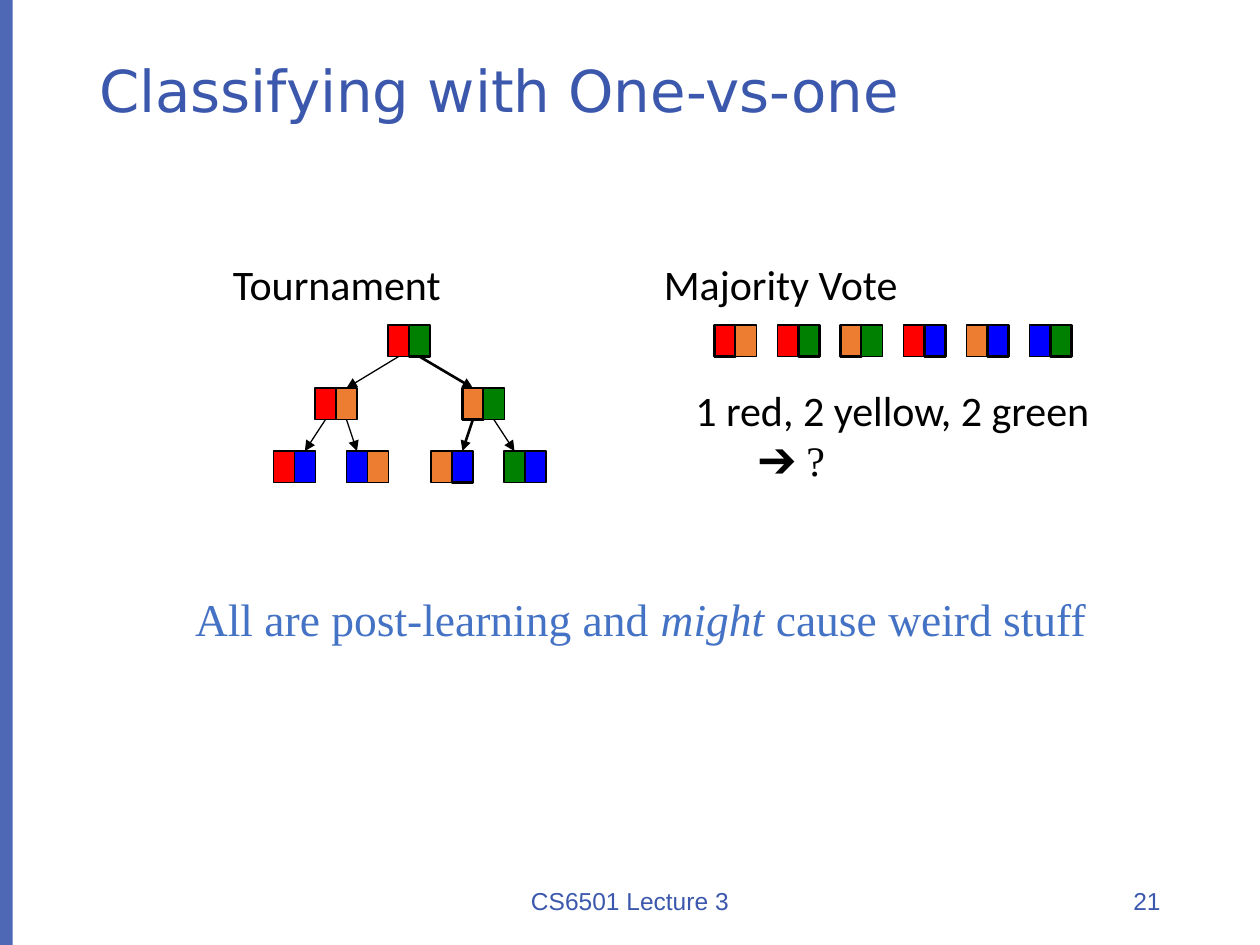
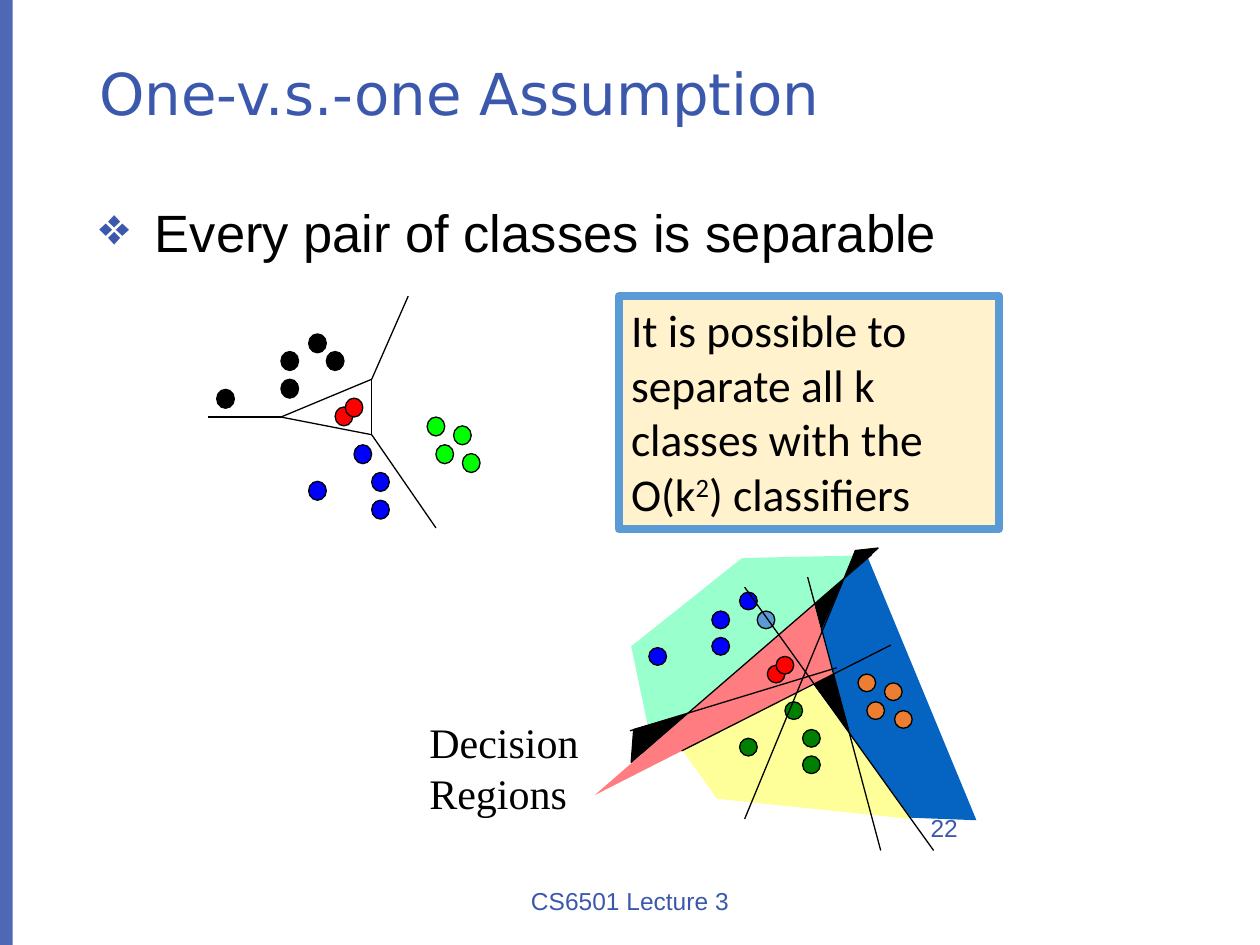
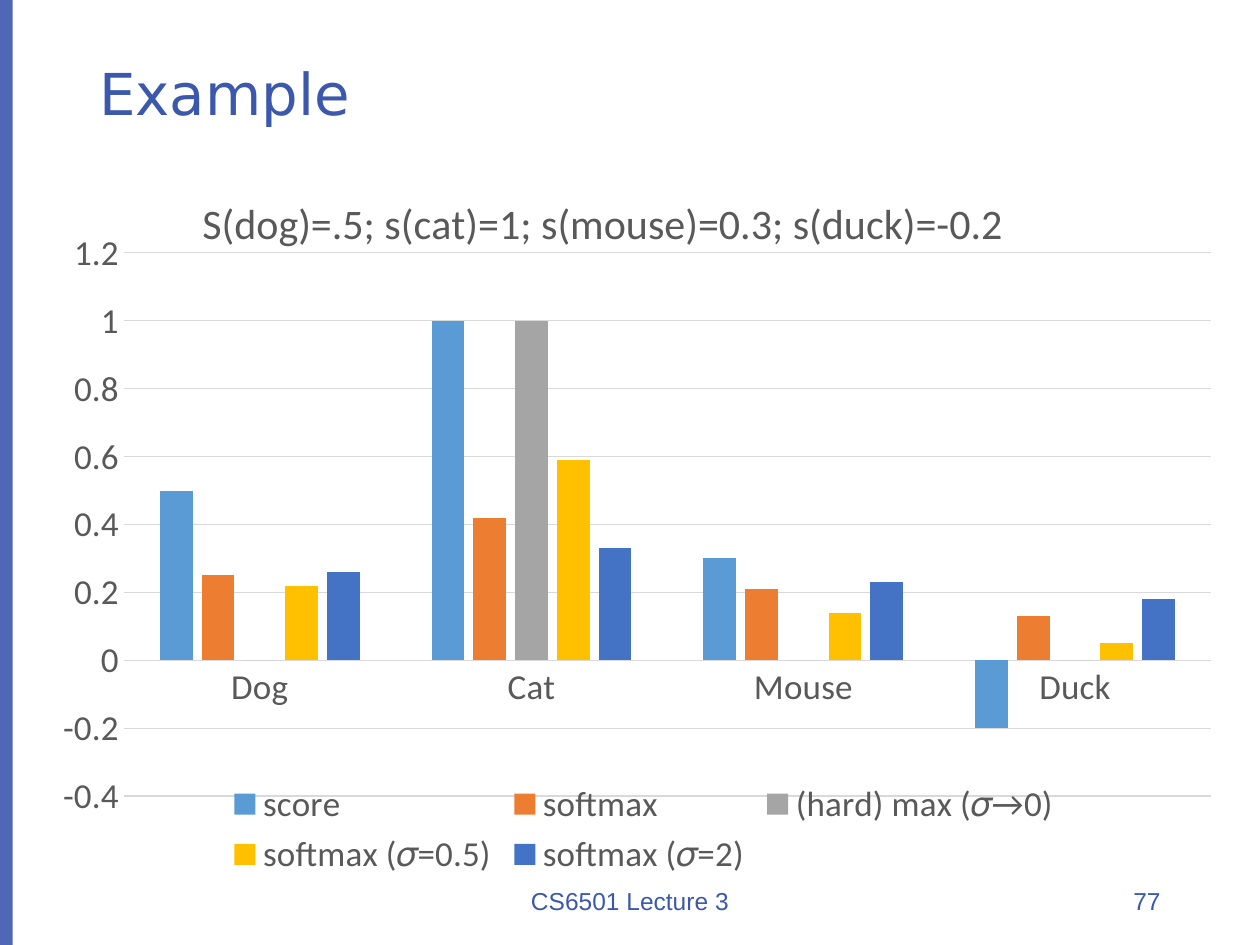
from pptx import Presentation
from pptx.chart.data import CategoryChartData
from pptx.dml.color import RGBColor
from pptx.enum.chart import XL_CHART_TYPE, XL_LEGEND_POSITION, XL_TICK_MARK
from pptx.enum.shapes import MSO_CONNECTOR, MSO_SHAPE
from pptx.enum.text import MSO_ANCHOR, PP_ALIGN
from pptx.oxml.ns import qn
from pptx.util import Inches, Pt
from lxml import etree

RECTANGLE, OVAL = MSO_SHAPE.RECTANGLE, MSO_SHAPE.OVAL
STRAIGHT = MSO_CONNECTOR.STRAIGHT
LEFT, CENTER, RIGHT = PP_ALIGN.LEFT, PP_ALIGN.CENTER, PP_ALIGN.RIGHT
TOP, MIDDLE = MSO_ANCHOR.TOP, MSO_ANCHOR.MIDDLE
NO_TICK = XL_TICK_MARK.NONE
BOTTOM_SIDE, TOP_SIDE = 2, 0

NAVY, BLACK, GRAY, LIGHT_GRAY = "3C58AD", "000000", "595959", "D9D9D9"
RED, GREEN, BLUE, ORANGE = "FF0000", "008000", "0000FF", "ED7D31"
LIME, SKY, ROYAL = "00FF00", "5B9BD5", "4472C4"
SERIF = "Times New Roman"


def paint(shape, fill=None, line=None, width=0.75):
    if fill:
        shape.fill.solid()
        shape.fill.fore_color.rgb = RGBColor.from_string(fill)
    if line:
        shape.line.color.rgb = RGBColor.from_string(line)
        shape.line.width = Pt(width)
    else:
        shape.line.fill.background()
    etree.SubElement(shape._element.spPr, qn("a:effectLst"))


def add_text(slide, box, text, size=24, font="Calibri", color=BLACK, align=LEFT,
             anchor=TOP, wrap=True, spacing=1.0, special=None, bullet=None,
             fill=None, line=None, width=0.75):
    place = [Inches(value) for value in box]
    if fill:
        shape = slide.shapes.add_shape(RECTANGLE, *place)
        paint(shape, fill, line, width)
    else:
        shape = slide.shapes.add_textbox(*place)
    frame = shape.text_frame
    frame.word_wrap = wrap
    frame.vertical_anchor = anchor
    for index, content in enumerate(text.split("\n")):
        paragraph = frame.add_paragraph() if index else frame.paragraphs[0]
        if bullet:
            properties = paragraph._p.get_or_add_pPr()
            properties.set("marL", str(Inches(0.44)))
            properties.set("indent", str(-Inches(0.44)))
            bullet_color = etree.SubElement(properties, qn("a:buClr"))
            etree.SubElement(bullet_color, qn("a:srgbClr"), val=NAVY)
            etree.SubElement(properties, qn("a:buChar"), char=bullet)
        paragraph.alignment = align
        paragraph.line_spacing = spacing
        for part_index, part in enumerate(content.split("|")):
            run = paragraph.add_run()
            run.text = part
            run.font.size = Pt(size)
            run.font.name = font
            run.font.color.rgb = RGBColor.from_string(color)
            if part_index % 2:
                run._r.get_or_add_rPr().set(*special)
    return frame


presentation = Presentation()
presentation.slide_width = Inches(10)
presentation.slide_height = Inches(7.5)

slides = []
for title, title_spacing, number, number_left, number_top in [
    ("Classifying with One-vs-one", 0.75, "21", 7.06, 6.95),
    ("One-v.s.-one Assumption", 0.9, "22", 5.45, 6.37),
    ("Example", 0.9, "77", 7.06, 6.95),
]:
    slide = presentation.slides.add_slide(presentation.slide_layouts[6])
    band = slide.shapes.add_shape(RECTANGLE, 0, 0, Inches(0.1), Inches(7.5))
    paint(band, NAVY)
    band_color = band._element.spPr.find(qn("a:solidFill"))[0]
    etree.SubElement(band_color, qn("a:alpha"), val="90000")
    add_text(slide, (0.69, 0.4, 8.62, 0.74), title, size=33, font="DejaVu Sans",
             color=NAVY, anchor=MIDDLE, spacing=title_spacing)
    for box, text, align in [
        ((3.31, 6.95, 3.38, 0.4), "CS6501 Lecture 3", CENTER),
        ((number_left, number_top, 2.25, 0.4), number, RIGHT),
    ]:
        add_text(slide, box, text, size=14, font="Arial", color=NAVY,
                 align=align, anchor=MIDDLE)
    slides.append(slide)
voting_slide, regions_slide, softmax_slide = slides

CELL_WIDTH, CELL_HEIGHT = 1 / 6, 0.25
tournament_pairs = [
    (3.08, 2.58, RED, GREEN, 1),
    (2.5, 3.08, RED, ORANGE, None),
    (3.67, 3.08, ORANGE, GREEN, 0),
    (2.17, 3.58, RED, BLUE, None),
    (2.75, 3.58, BLUE, ORANGE, None),
    (3.42, 3.58, ORANGE, BLUE, 1),
    (4, 3.58, GREEN, BLUE, None),
]
votes = [(RED, ORANGE, 0), (RED, GREEN, 1), (ORANGE, GREEN, 0),
         (RED, BLUE, 1), (ORANGE, BLUE, 1), (BLUE, GREEN, 1)]
vote_pairs = [(5.67 + 0.5 * index, 2.58, *vote) for index, vote in enumerate(votes)]

cells = []
for left, top, first, second, winner in tournament_pairs + vote_pairs:
    for side, color in enumerate((first, second)):
        cell = voting_slide.shapes.add_shape(
            RECTANGLE, Inches(left + side * CELL_WIDTH), Inches(top),
            Inches(CELL_WIDTH), Inches(CELL_HEIGHT))
        paint(cell, color, BLACK, 1.5 if side == winner else 0.75)
        cells.append(cell)

for parent, child, width in [(0, 3, 0.75), (1, 4, 1.5), (2, 7, 0.75),
                             (3, 8, 0.75), (4, 11, 1.5), (5, 12, 0.75)]:
    arrow = voting_slide.shapes.add_connector(STRAIGHT, 0, 0, 0, 0)
    arrow.begin_connect(cells[parent], BOTTOM_SIDE)
    arrow.end_connect(cells[child], TOP_SIDE)
    paint(arrow, line=BLACK, width=width)
    etree.SubElement(arrow._element.spPr.find(qn("a:ln")), qn("a:tailEnd"), type="triangle")

add_text(voting_slide, (1.75, 2, 1.87, 0.51), "Tournament", wrap=False)
add_text(voting_slide, (5.17, 2, 2.1, 0.5), "Majority Vote", wrap=False)
tally = add_text(voting_slide, (5.42, 3, 3.36, 0.91),
                 "1 red, 2 yellow, 2 green\n\t➔ ?", wrap=False)
tally.paragraphs[1].runs[0].font.name = SERIF
add_text(voting_slide, (1.45, 4.64, 7.33, 0.54),
         "All are post-learning and |might| cause weird stuff",
         size=26, font=SERIF, color=ROYAL, wrap=False, special=("i", "1"))

add_text(regions_slide, (0.69, 1.49, 8.62, 5.27), "Every pair of classes is separable",
         size=30, font="Arial", spacing=1.1, bullet="❖")
add_text(regions_slide, (4.91, 2.35, 3.02, 1.85),
         "It is possible to separate all k classes with the O(k|2|) classifiers",
         size=26, special=("baseline", "30000"), fill="FFF2CC", line=SKY, width=4.5)
add_text(regions_slide, (3.31, 5.64, 1.47, 0.9), "Decision\nRegions", font=SERIF, wrap=False)

regions = [
    (BLACK, BLACK, [(6.71, 4.58), (6.97, 4.35), (6.79, 4.37)]),
    (BLACK, BLACK, [(6.46, 5.43), (6.62, 5.35), (6.74, 5.8)]),
    (BLACK, BLACK, [(6.47, 4.79), (6.7, 4.6), (6.53, 5.01)]),
    ("FF7C80", None, [(5.48, 5.65), (6.46, 4.79), (6.61, 5.35), (4.72, 6.31)]),
    ("99FFCC", None, [(5.14, 5.75), (5.46, 5.66), (6.7, 4.59), (6.77, 4.41),
                      (5.89, 4.43), (5.01, 5.13)]),
    ("FFFF99", None, [(5.42, 5.96), (6.45, 5.43), (7.23, 6.5), (5.69, 6.34)]),
    ("0563C1", None, [(6.7, 4.59), (6.52, 5), (6.75, 5.83), (7.23, 6.49),
                      (7.75, 6.51), (6.89, 4.43)]),
    (BLACK, BLACK, [(5.03, 5.79), (5.44, 5.67), (5.01, 6.05)]),
]
for fill, line, points in regions:
    corners = [(Inches(x), Inches(y)) for x, y in points]
    builder = regions_slide.shapes.build_freeform(*corners[0])
    builder.add_line_segments(corners[1:], close=True)
    paint(builder.convert_to_shape(), fill, line)

separable_dots = {
    BLACK: [(2.23, 2.79), (2.45, 2.65), (2.59, 2.79), (2.23, 3.01), (1.72, 3.09)],
    BLUE: [(2.45, 3.82), (2.81, 3.53), (2.95, 3.75), (2.95, 3.97)],
    RED: [(2.66, 3.23), (2.74, 3.16)],
    LIME: [(3.46, 3.53), (3.6, 3.38), (3.67, 3.6), (3.39, 3.31)],
}
region_dots = {
    BLUE: [(5.65, 4.85), (5.87, 4.7), (5.65, 5.06), (5.15, 5.14)],
    GREEN: [(5.87, 5.86), (6.23, 5.57), (6.37, 5.79), (6.37, 6)],
    RED: [(6.09, 5.28), (6.16, 5.21)],
    ORANGE: [(6.88, 5.57), (7.02, 5.42), (7.1, 5.64), (6.81, 5.35)],
    SKY: [(6.01, 4.85)],
}
for dots, dot_height in [(separable_dots, 0.15), (region_dots, 0.14)]:
    for color, positions in dots.items():
        for left, top in positions:
            dot = regions_slide.shapes.add_shape(
                OVAL, Inches(left), Inches(top), Inches(0.14), Inches(dot_height))
            paint(dot, color, BLACK)

boundaries = [
    (2.95, 3.01, 2.23, 3.31), (2.23, 3.31, 2.95, 3.45), (2.95, 3.45, 3.46, 4.19),
    (2.95, 3.01, 3.24, 2.35), (2.23, 3.31, 1.65, 3.31), (2.95, 3.45, 2.95, 3.01),
    (6.92, 4.4, 5.09, 5.98), (6.41, 4.58, 6.99, 6.75), (5.41, 5.96, 7.07, 5.12),
    (5.91, 4.66, 7.41, 6.75), (5, 5.8, 6.64, 5.3), (6.79, 4.37, 5.91, 6.5),
]
for ends in boundaries:
    boundary = regions_slide.shapes.add_connector(STRAIGHT, *[Inches(value) for value in ends])
    paint(boundary, line=BLACK)

series_data = [
    ("score", SKY, (0.5, 1, 0.3, -0.2)),
    ("softmax", ORANGE, (0.25, 0.42, 0.21, 0.13)),
    ("(hard) max (𝜎→0)", "A5A5A5", (0, 1, 0, 0)),
    ("softmax (𝜎=0.5)", "FFC000", (0.22, 0.59, 0.14, 0.05)),
    ("softmax (𝜎=2)", ROYAL, (0.26, 0.33, 0.23, 0.18)),
]
chart_data = CategoryChartData()
chart_data.categories = ["Dog", "Cat", "Mouse", "Duck"]
for name, color, values in series_data:
    chart_data.add_series(name, values)
chart = softmax_slide.shapes.add_chart(
    XL_CHART_TYPE.COLUMN_CLUSTERED, Inches(0.42), Inches(1.26),
    Inches(9.38), Inches(5.75), chart_data).chart
chart.font.size = Pt(20)
chart.font.name = "Calibri"
chart.font.color.rgb = RGBColor.from_string(GRAY)

chart.has_title = True
title_paragraph = chart.chart_title.text_frame.paragraphs[0]
title_run = title_paragraph.add_run()
title_run.text = "S(dog)=.5; s(cat)=1; s(mouse)=0.3; s(duck)=-0.2"
title_run.font.size = Pt(24)
title_run.font.bold = False
title_run.font.name = "Calibri"
title_run.font.color.rgb = RGBColor.from_string(GRAY)

chart.has_legend = True
chart.legend.position = XL_LEGEND_POSITION.BOTTOM
chart.legend.include_in_layout = False

plot = chart.plots[0]
plot.gap_width = 219
plot.overlap = -27
plot.vary_by_categories = False
for series, (name, color, values) in zip(plot.series, series_data):
    series.invert_if_negative = False
    series.format.fill.solid()
    series.format.fill.fore_color.rgb = RGBColor.from_string(color)

value_axis, category_axis = chart.value_axis, chart.category_axis
value_axis.minimum_scale = -0.4
value_axis.maximum_scale = 1.2
value_axis.major_unit = 0.2
value_axis.format.line.fill.background()
for axis in (value_axis, category_axis):
    axis.major_tick_mark = NO_TICK
    axis.minor_tick_mark = NO_TICK
for line in (value_axis.major_gridlines.format.line, category_axis.format.line):
    line.color.rgb = RGBColor.from_string(LIGHT_GRAY)
    line.width = Pt(0.75)

chart_element = chart._chartSpace.chart
for element, settings in [
    (chart_element.find(qn("c:title")),
     [("xMode", "edge"), ("yMode", "edge"), ("x", 0.12), ("y", 0.04)]),
    (chart_element.plotArea,
     [("layoutTarget", "inner"), ("xMode", "edge"), ("yMode", "edge"),
      ("x", 0.06), ("y", 0.13), ("w", 0.92), ("h", 0.75)]),
]:
    layout = element.find(qn("c:layout"))
    if layout is None:
        layout = etree.Element(qn("c:layout"))
        element.insert(0, layout)
    manual_layout = etree.SubElement(layout, qn("c:manualLayout"))
    for name, value in settings:
        etree.SubElement(manual_layout, qn(f"c:{name}"), val=str(value))

presentation.save("out.pptx")
